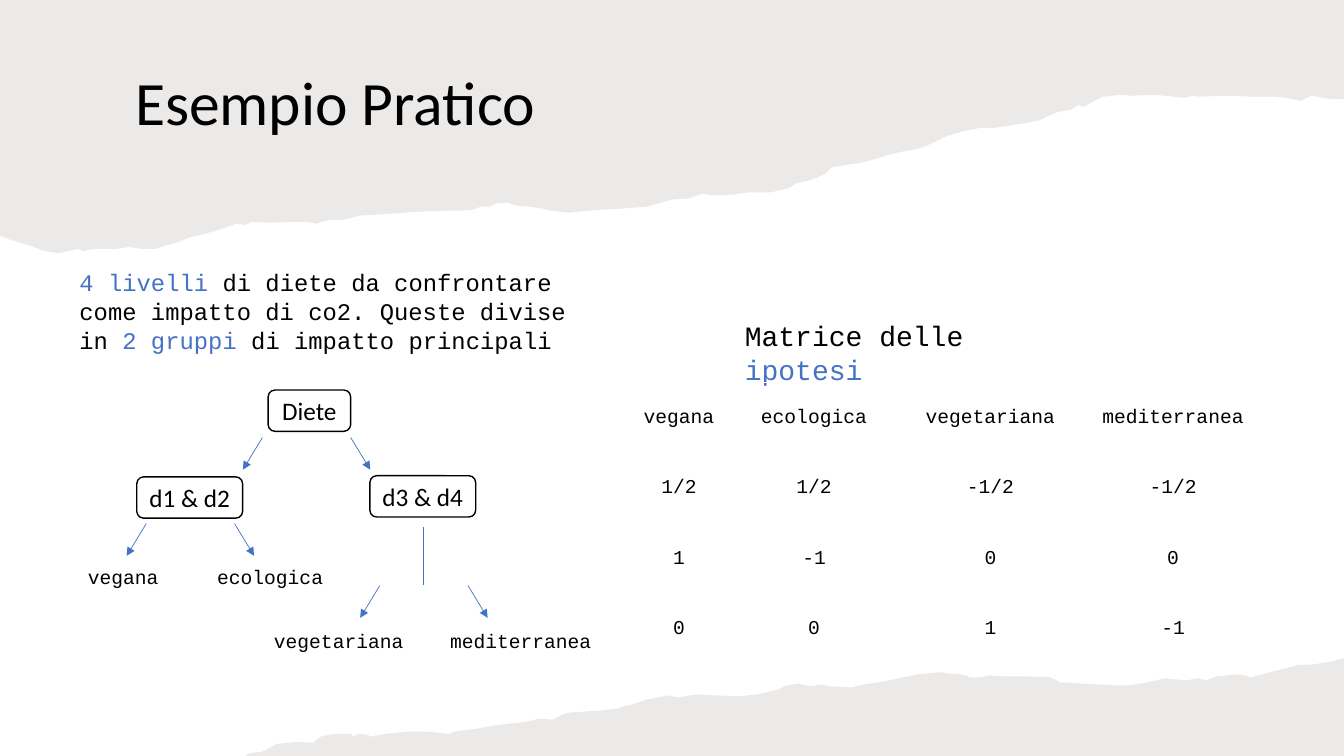
"""Builds the slide on diets with its tree of groups and its hypothesis matrix."""
import pptx
import pptx.dml.color
import pptx.enum.shapes
import pptx.enum.text
import pptx.oxml.ns
import pptx.util
from lxml import etree

Pt = pptx.util.Pt
qn = pptx.oxml.ns.qn
ALIGN = pptx.enum.text.PP_ALIGN
MIDDLE = pptx.enum.text.MSO_ANCHOR.MIDDLE
BLACK, BLUE, PAPER = "000000", "4472C4", "82766A"
SANS, MONO = "Calibri", "Courier New"

TOP_BAND = [
    (0, 0), (960, 0), (960, 70.6), (949.7, 70.6), (936.7, 68.4), (928.8, 72), (918, 69.8),
    (910.8, 69.1), (895, 69.1), (879.8, 68.4), (871.2, 68.4), (857.5, 69.1), (851.8, 68.4),
    (846, 69.8), (824.4, 67.7), (807.8, 68.4), (801.4, 67.7), (787.7, 69.1), (781.9, 72),
    (774, 76.3), (770.4, 74.9), (764.6, 78.5), (756, 79.9), (748.8, 82.8), (743, 85.7),
    (733, 87.8), (727.2, 88.6), (719.3, 90), (709.9, 91.4), (699.8, 91.4), (689, 93.6),
    (676.1, 97.2), (666, 102.2), (658, 105.8), (645.8, 108), (635.8, 110.2), (627.1, 113),
    (617, 115.9), (612.7, 116.6), (594, 119.5), (589, 124.6), (580.3, 128.2), (568.8, 131),
    (563, 134.6), (550, 137.5), (534.2, 137.5), (523.4, 139), (508.3, 139.7), (501.8, 138.2),
    (491.8, 141.8), (479.5, 142.6), (462.2, 147.6), (443.5, 149), (428.4, 149.8),
    (406, 151.9), (393, 150.5), (388, 149), (378, 147.6), (368.6, 146.9), (362.2, 144.7),
    (354.2, 145.4), (350, 147.6), (343.4, 147.6), (337.7, 149.8), (329, 150.5), (319, 150.5),
    (298.8, 151.2), (288.7, 151.9), (267, 153.4), (257, 154), (244.8, 157), (235.4, 157),
    (225.4, 159.8), (218.9, 158.4), (209.5, 158.4), (193.7, 159.1), (180, 158.4),
    (175, 160.6), (168.5, 159.8), (160.6, 162.7), (154, 164.9), (146.2, 167), (136.8, 169.2),
    (127.4, 172.8), (110.9, 177.8), (101.5, 177.8), (92.2, 176.4), (82.8, 177.8),
    (66.2, 177.8), (59.8, 179.3), (55.4, 177.8), (46, 180), (41, 180.7), (31.7, 179.3),
    (22.3, 175.7), (7.9, 171.4), (0, 168.5),
]
BOTTOM_BAND = [
    (960, 470.2), (960, 540), (176.4, 540), (175, 539.3), (180, 537.8), (187, 537.1),
    (198, 531.4), (212, 529.9), (223.9, 530.6), (229, 526.3), (235.4, 524.9), (239, 524.2),
    (251.3, 524.2), (252, 526.3), (256.3, 524.2), (262.8, 524.9), (264.2, 526.3),
    (275.8, 524.2), (290.2, 522.7), (305.3, 522.7), (321.1, 524.2), (324, 522.7),
    (340.6, 520.6), (351.4, 518.4), (376.6, 515.5), (385.2, 513.4), (394.6, 514.1),
    (403.2, 509.8), (407.5, 509), (428.4, 507.6), (440.6, 506.2), (445, 504.7),
    (451.4, 503.3), (462.2, 499.7), (476.6, 496.8), (484.6, 498.2), (497.5, 496.1),
    (527, 497.5), (540.7, 496.1), (547.2, 494.6), (555.8, 492.5), (562.3, 489.6),
    (570.2, 488.2), (578.9, 490.3), (586.1, 488.9), (592.6, 490.3), (608.4, 491),
    (617, 488.9), (628.6, 487.4), (655.9, 481.7), (671, 480.2), (676.8, 481),
    (686.2, 481.7), (693.4, 483.8), (700.6, 483.8), (707, 482.4), (715, 483.1),
    (730.8, 483.1), (750.2, 483.8), (757.4, 487.4), (782.6, 488.9), (799.2, 489.6),
    (805.7, 489.6), (820, 487.4), (832.3, 484.6), (846.7, 486), (856, 484.6),
    (861.8, 486), (869, 483.1), (885.6, 481.7), (893.5, 483.8), (904.3, 481),
    (918, 477.4), (926.6, 475.2), (939.6, 474.5), (943.2, 473.8), (952.6, 472.3),
]
LEAVES = [
    ("vegana", 88, 400.3), ("ecologica", 193, 400.3),
    ("vegetariana", 242, 445.7), ("mediterranea", 372, 445.7),
]
MATRIX = [
    ["vegana", "ecologica", "vegetariana", "mediterranea"],
    ["1/2", "1/2", "-1/2", "-1/2"],
    ["1", "-1", "0", "0"],
    ["0", "0", "1", "-1"],
]


def colour(value):
    return pptx.dml.color.RGBColor.from_string(value)


class SlideBuilder:
    def __init__(self, presentation):
        self.slide = presentation.slides.add_slide(presentation.slide_layouts[5])
        self.shapes = self.slide.shapes

    def set_text(self, text_frame, parts, size, font, align=ALIGN.LEFT):
        text_frame.word_wrap = True
        paragraph = text_frame.paragraphs[0]
        paragraph.alignment = align
        for text, text_colour in parts:
            run = paragraph.add_run()
            run.text = text
            run.font.size = Pt(size)
            run.font.name = font
            run.font.color.rgb = colour(text_colour)
        return paragraph

    def title(self, text, left, top, width, height):
        title = self.shapes.title
        title.left, title.top, title.width, title.height = map(Pt, (left, top, width, height))
        title.text_frame.vertical_anchor = MIDDLE
        title.text_frame.auto_size = pptx.enum.text.MSO_AUTO_SIZE.NONE
        paragraph = self.set_text(title.text_frame, [(text, BLACK)], 44, SANS)
        paragraph.line_spacing = 0.9
        title.element.getparent().append(title.element)

    def band(self, outline):
        points = [(Pt(x), Pt(y)) for x, y in outline]
        builder = self.shapes.build_freeform(*points[0], scale=1.0)
        builder.add_line_segments(points[1:], close=True)
        shape = builder.convert_to_shape()
        shape.shadow.inherit = False
        shape.line.fill.background()
        shape.fill.solid()
        shape.fill.fore_color.rgb = colour(PAPER)
        paint = shape.element.find(".//" + qn("a:srgbClr"))
        etree.SubElement(paint, qn("a:alpha"), val="15000")

    def text(self, parts, left, top, width, height, size):
        box = self.shapes.add_textbox(Pt(left), Pt(top), Pt(width), Pt(height))
        self.set_text(box.text_frame, parts, size, MONO)

    def leaf(self, text, center, top, width=104):
        box = self.shapes.add_textbox(Pt(center - width / 2), Pt(top), Pt(width), Pt(24.5))
        box.text_frame.margin_left = box.text_frame.margin_right = 0
        self.set_text(box.text_frame, [(text, BLACK)], 14, MONO, ALIGN.CENTER)

    def node(self, text, center, top, width):
        shape = self.shapes.add_shape(
            pptx.enum.shapes.MSO_SHAPE.ROUNDED_RECTANGLE,
            Pt(center - width / 2), Pt(top), Pt(width), Pt(29.5))
        shape.shadow.inherit = False
        shape.fill.background()
        shape.line.color.rgb = colour(BLACK)
        shape.line.width = Pt(1)
        frame = shape.text_frame
        frame.vertical_anchor = MIDDLE
        frame.margin_left = frame.margin_right = frame.margin_top = frame.margin_bottom = 0
        self.set_text(frame, [(text, BLACK)], 18, SANS, ALIGN.CENTER)

    def line(self, start_x, start_y, end_x, end_y, arrow=False):
        connector = self.shapes.add_connector(
            pptx.enum.shapes.MSO_CONNECTOR.STRAIGHT,
            Pt(start_x), Pt(start_y), Pt(end_x), Pt(end_y))
        connector.line.color.rgb = colour(BLUE)
        connector.line.width = Pt(0.5)
        if arrow:
            outline = connector.element.find(".//" + qn("a:ln"))
            etree.SubElement(outline, qn("a:tailEnd"), type="triangle")
        etree.SubElement(connector.element.spPr, qn("a:effectLst"))

    def branch(self, center, top):
        for side in (-1, 1):
            self.line(center + side * 31.5, top, center + side * 45.5, top + 23, arrow=True)

    def table(self, rows, left, top, widths, row_height):
        table = self.shapes.add_table(
            len(rows), len(widths), Pt(left), Pt(top),
            Pt(sum(widths)), Pt(row_height * len(rows))).table
        table.first_row = table.horz_banding = False
        for column, width in zip(table.columns, widths):
            column.width = Pt(width)
        for row_index, row in enumerate(rows):
            for column_index, value in enumerate(row):
                cell = table.cell(row_index, column_index)
                cell.fill.background()
                cell.vertical_anchor = MIDDLE
                cell.margin_left = cell.margin_right = 0
                self.set_text(cell.text_frame, [(value, BLACK)], 14, MONO, ALIGN.CENTER)


def main():
    presentation = pptx.Presentation()
    presentation.slide_width, presentation.slide_height = Pt(960), Pt(540)
    builder = SlideBuilder(presentation)
    builder.band(TOP_BAND)
    builder.band(BOTTOM_BAND)
    builder.title("Esempio Pratico", 89.3, 12.2, 541.4, 126.7)
    builder.text([
        ("4 livelli ", BLUE),
        ("di diete da confrontare come impatto di co2. Queste divise in ", BLACK),
        ("2 gruppi ", BLUE),
        ("di impatto principali", BLACK),
    ], 49.7, 188, 374.4, 69, 17)
    builder.node("Diete", 221, 278.6, 59)
    builder.node("d1 & d2", 135.5, 340.6, 75.6)
    builder.node("d3 & d4", 302, 339.8, 75.6)
    for center, top in [(219, 312.5), (136, 374), (302.8, 418.3)]:
        builder.branch(center, top)
    builder.line(302.4, 417.6, 302.4, 376.6)
    for leaf in LEAVES:
        builder.leaf(*leaf)
    builder.text([("Matrice delle ", BLACK), ("ipotesi", BLUE)], 524.9, 224, 250, 53, 20)
    builder.table(MATRIX, 444, 273.4, [82, 111, 141, 120], 50.4)
    presentation.save("out.pptx")


if __name__ == "__main__":
    main()
